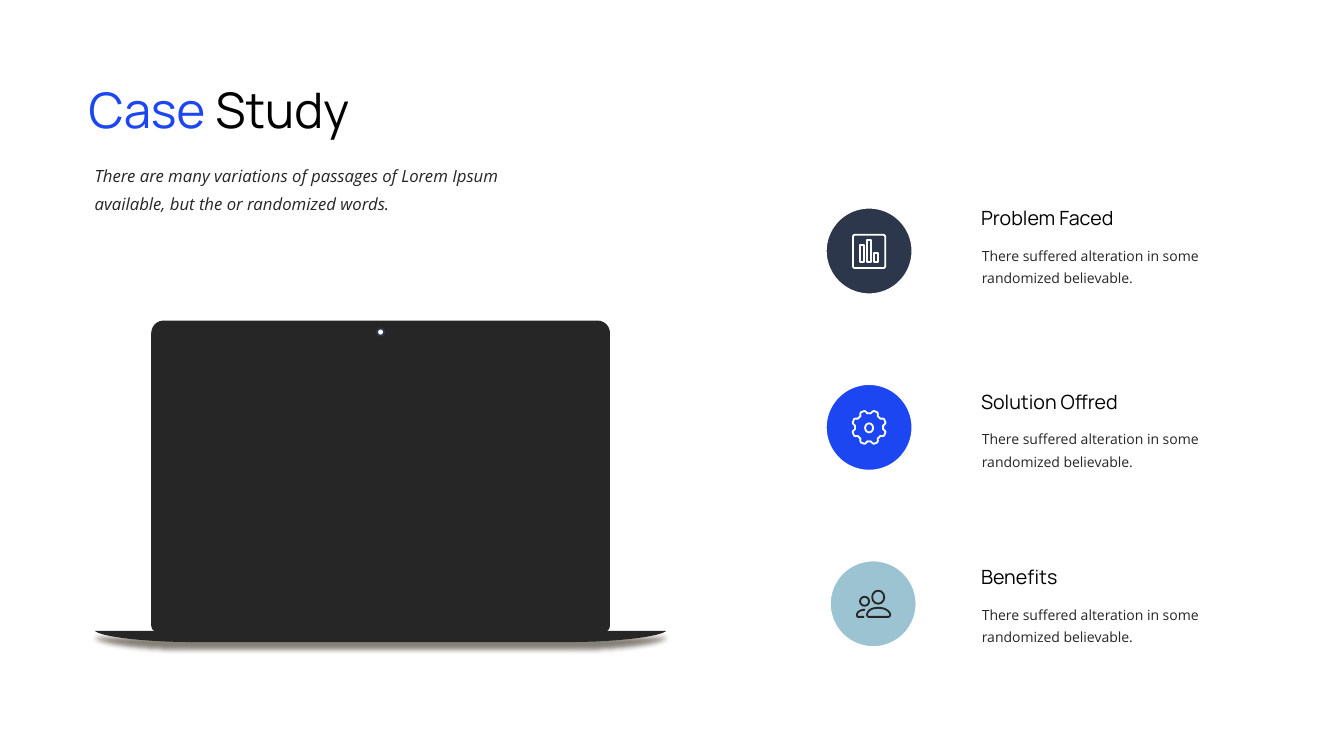
from dataclasses import dataclass
from math import cos, radians, sin

from lxml.etree import SubElement
from pptx import Presentation
from pptx.dml.color import RGBColor
from pptx.enum.shapes import MSO_SHAPE as Preset
from pptx.enum.text import MSO_ANCHOR as Anchor
from pptx.enum.text import MSO_AUTO_SIZE as AutoSize
from pptx.enum.text import PP_ALIGN as Align
from pptx.oxml.ns import qn
from pptx.util import Pt

PX = 9144


@dataclass(frozen=True)
class Theme:
    blue: str = "1C46F2"
    navy: str = "2D374B"
    sky: str = "9BC3D2"
    dark: str = "262626"
    black: str = "000000"
    white: str = "FFFFFF"
    shade: str = "231909"
    display: str = "Manrope"
    text: str = "Open Sans"
    title_size: int = 35
    heading_size: int = 14
    intro_size: int = 12
    detail_size: int = 10
    ring: int = 10
    stroke: float = 1.3


THEME = Theme()
TITLE = {"name": THEME.display, "size": Pt(THEME.title_size)}
HEADING = {"name": THEME.display, "size": Pt(THEME.heading_size)}
INTRO = {"name": THEME.text, "size": Pt(THEME.intro_size), "italic": True}
DETAIL = {"name": THEME.text, "size": Pt(THEME.detail_size)}
FLUSH = dict.fromkeys(("margin_left", "margin_top", "margin_right", "margin_bottom"), 0)


def apply(target, values):
    for name, value in values.items():
        setattr(target, name, value)


def place(*lengths):
    return [round(length * PX) for length in lengths]


def paint(shape, fill=None, line=None, width=THEME.stroke):
    shape.shadow.inherit = False
    if fill:
        shape.fill.solid()
        shape.fill.fore_color.rgb = RGBColor.from_string(fill)
    else:
        shape.fill.background()
    if line:
        shape.line.color.rgb = RGBColor.from_string(line)
        shape.line.width = Pt(width)
    else:
        shape.line.fill.background()
    return shape


def write(frame, runs, spacing, font_format, **frame_format):
    apply(frame, {"word_wrap": True, "auto_size": AutoSize.SHAPE_TO_FIT_TEXT,
                  "vertical_anchor": Anchor.TOP, **frame_format})
    paragraph = frame.paragraphs[0]
    apply(paragraph, {"alignment": Align.LEFT, "line_spacing": spacing, "space_before": Pt(0)})
    for words, color in runs:
        run = paragraph.add_run()
        run.text = words
        apply(run.font, font_format)
        run.font.color.rgb = RGBColor.from_string(color)


def add_text(slide, box, words, color, spacing, font_format, **frame_format):
    frame = slide.shapes.add_textbox(*place(*box)).text_frame
    write(frame, [(words, color)], spacing, font_format, **frame_format)


def add_preset(shapes, preset, box, **look):
    return paint(shapes.add_shape(preset, *place(*box)), **look)


def bend(start, curve, steps=10):
    x1, y1, x2, y2, x3, y3 = curve
    for step in range(1, steps + 1):
        t = step / steps
        weights = (1 - t) ** 3, 3 * t * (1 - t) ** 2, 3 * t * t * (1 - t), t ** 3
        yield tuple(sum(w * v for w, v in zip(weights, values))
                    for values in ((start[0], x1, x2, x3), (start[1], y1, y2, y3)))


def add_outline(shapes, center, steps, close=True, **look):
    points = [steps[0]]
    for step in steps[1:]:
        points.extend(bend(points[-1], step) if len(step) == 6 else [step])
    spots = [place(center[0] + x, center[1] + y) for x, y in points]
    builder = shapes.build_freeform(*spots[0])
    builder.add_line_segments(spots[1:], close=close)
    return paint(builder.convert_to_shape(), **look)


def draw_chart(shapes, center, color):
    x, y = center
    frame = add_preset(shapes, Preset.ROUNDED_RECTANGLE, (x - 16, y - 16, 32, 33), line=color)
    frame.adjustments[0] = 0.06
    for left, top in ((-9, -6), (-2, -11), (5, 2)):
        add_preset(shapes, Preset.RECTANGLE, (x + left, y + top, 4, 11 - top), line=color)


def draw_gear(shapes, center, color):
    notch = ((-16, 17), (-12, 16), (-7, 14), (0, 14), (7, 14), (12, 16), (16, 17))
    rim = [(radius * sin(radians(turn + angle)), -radius * cos(radians(turn + angle)))
           for turn in range(0, 360, 45) for angle, radius in notch]
    add_outline(shapes, center, rim, line=color)
    x, y = center
    add_preset(shapes, Preset.OVAL, (x - 4, y - 4, 8, 9), line=color)


def draw_people(shapes, center, color):
    x, y = center
    front = [(-4, 13), (15, 13), (16, 13, 17, 12, 17, 11), (17, 9, 14, 4, 5, 4),
             (-4, 4, -6, 9, -6, 11), (-6, 12, -5, 13, -4, 13)]
    back = [(-9, 13), (-15, 13), (-16, 13, -16, 12, -16, 11), (-16, 9, -14, 6, -8, 6)]
    add_outline(shapes, center, front, line=color)
    add_outline(shapes, center, back, close=False, line=color)
    for head in ((x - 1, y - 13, 12, 13), (x - 13, y - 7, 9, 9)):
        add_preset(shapes, Preset.OVAL, head, line=color)


def add_topic(slide, badge_left, badge_top, heading_top, heading, badge_color, draw, icon_color):
    add_preset(slide.shapes, Preset.OVAL, (badge_left, badge_top, 98, 98),
               fill=badge_color, line=THEME.white, width=THEME.ring)
    icon = slide.shapes.add_group_shape()
    draw(icon.shapes, (badge_left + 49, badge_top + 49), icon_color)
    add_text(slide, (964, heading_top + 28, 256, 53),
             "There suffered alteration in some randomized believable.",
             THEME.dark, Pt(16), DETAIL)
    add_text(slide, (973, heading_top, 181, 21), heading, THEME.black, 0.9, HEADING,
             vertical_anchor=Anchor.MIDDLE, **FLUSH)


def add_soft_shadow(shape):
    effects = shape._element.spPr.find(qn("a:effectLst"))
    shadow = SubElement(effects, qn("a:outerShdw"), blurRad=str(Pt(3)), dist=str(Pt(5)),
                        dir="5400000", algn="t", rotWithShape="0")
    color = SubElement(shadow, qn("a:srgbClr"), val=THEME.shade)
    SubElement(color, qn("a:alpha"), val="55000")


def add_laptop(slide):
    screen = add_preset(slide.shapes, Preset.ROUND_2_SAME_RECTANGLE, (150, 318, 455, 309),
                        fill=THEME.dark)
    screen.adjustments[0] = 0.04
    screen.adjustments[1] = 0.02
    base = add_outline(slide.shapes, (377, 626),
                       [(-189, 11), (190, 11), (224, 11, 275, 7, 284, 0), (-283, 0),
                        (-274, 7, -224, 11, -189, 11)], fill=THEME.dark)
    add_soft_shadow(base)
    add_preset(slide.shapes, Preset.OVAL, (374, 326, 7, 7), fill=THEME.white, line=THEME.navy)


def add_title(slide):
    title = slide.shapes.title
    apply(title, dict(zip(("left", "top", "width", "height"), place(78, 70, 364, 71))))
    write(title.text_frame, [("Case ", THEME.blue), ("Study", THEME.black)], Pt(45), TITLE)


def main():
    deck = Presentation()
    apply(deck, dict(zip(("slide_width", "slide_height"), place(1333, 750))))
    slide = deck.slides.add_slide(deck.slide_layouts[5])
    add_title(slide)
    topics = (
        (813, 200, 207, "Problem Faced", THEME.navy, draw_chart, THEME.white),
        (813, 375, 389, "Solution Offred", THEME.blue, draw_gear, THEME.white),
        (817, 550, 563, "Benefits", THEME.sky, draw_people, THEME.dark),
    )
    for topic in topics:
        add_topic(slide, *topic)
    add_laptop(slide)
    add_text(slide, (84, 152, 460, 64),
             "There are many variations of passages of Lorem Ipsum available, "
             "but the or randomized words.", THEME.dark, Pt(20), INTRO)
    deck.save("out.pptx")


if __name__ == "__main__":
    main()
